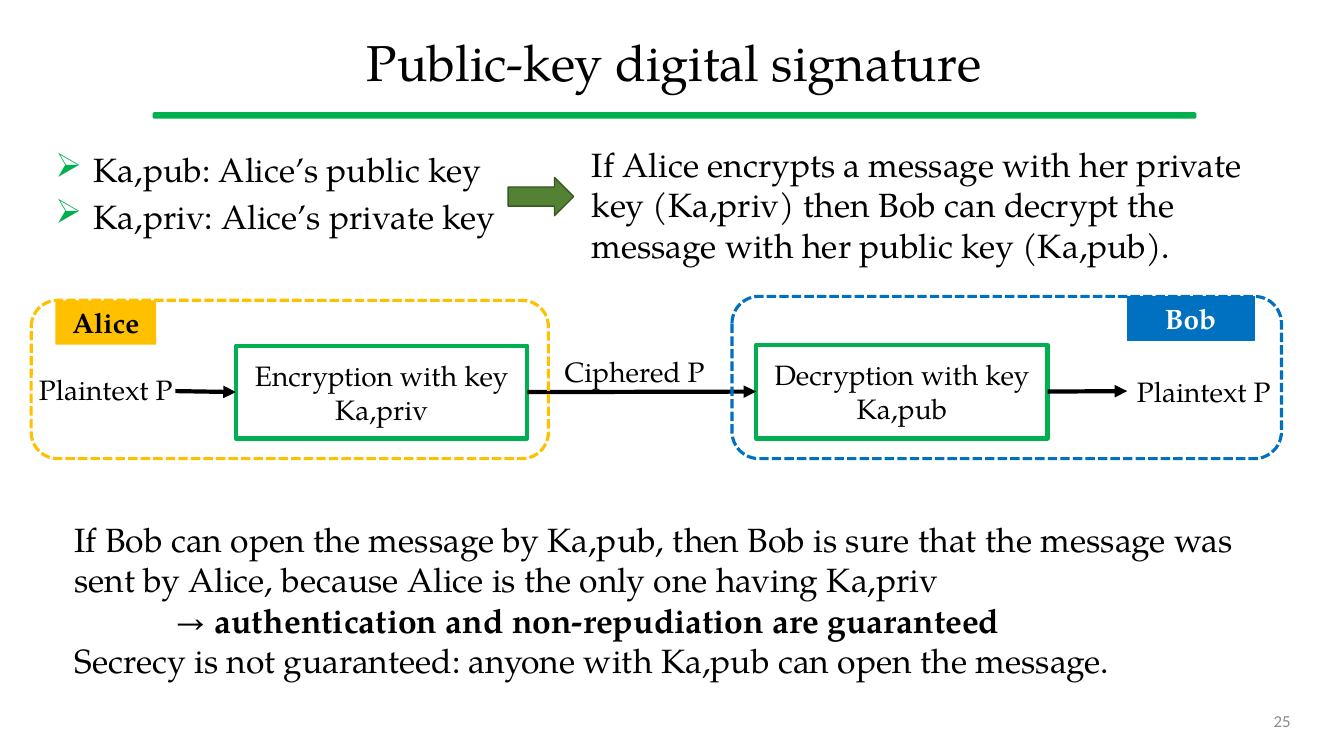
import dataclasses

import pptx
import pptx.dml.color
import pptx.enum.dml
import pptx.enum.shapes
import pptx.enum.text
import pptx.oxml.ns
import pptx.util
from lxml import etree

SHAPE = pptx.enum.shapes.MSO_SHAPE
ALIGN = pptx.enum.text.PP_ALIGN
ANCHOR = pptx.enum.text.MSO_ANCHOR
LEFT_SIDE, RIGHT_SIDE = 1, 3


@dataclasses.dataclass(frozen=True)
class Theme:
    font: str = "TeX Gyre Pagella"
    number_font: str = "Calibri"
    black: str = "000000"
    white: str = "FFFFFF"
    grey: str = "8C8C8C"
    green: str = "00B050"
    arrow_fill: str = "548235"
    arrow_edge: str = "385723"
    alice: str = "FFC000"
    bob: str = "0070C0"
    title_size: int = 36
    body_size: int = 24
    label_size: int = 20
    number_size: int = 12


def px(length):
    """One px is a hundredth of an inch."""
    return pptx.util.Emu(length * 9144)


def rgb(colour):
    return pptx.dml.color.RGBColor.from_string(colour)


def add_xml(parent, tag, **attributes):
    return etree.SubElement(parent, pptx.oxml.ns.qn(tag), attributes)


class SlideBuilder:
    def __init__(self, slide, theme):
        self.slide = slide
        self.theme = theme

    def add_words(self, paragraph, text, size, bold=False, colour=None, font=None):
        run = paragraph.add_run()
        run.text = text
        run.font.name = font or self.theme.font
        run.font.size = pptx.util.Pt(size)
        run.font.bold = bold
        run.font.color.rgb = rgb(colour or self.theme.black)

    def title(self, box, text):
        title = self.slide.shapes.title
        title.left, title.top, title.width, title.height = map(px, box)
        frame = title.text_frame
        frame.auto_size = pptx.enum.text.MSO_AUTO_SIZE.NONE
        frame.vertical_anchor = ANCHOR.MIDDLE
        paragraph = frame.paragraphs[0]
        paragraph.alignment = ALIGN.CENTER
        paragraph.line_spacing = 0.9
        self.add_words(paragraph, text, self.theme.title_size)

    def text(self, box, paragraphs, size, align=ALIGN.LEFT,
             anchor=ANCHOR.TOP, **style):
        """Each paragraph is a list of (text, bold) runs."""
        frame = self.slide.shapes.add_textbox(*map(px, box)).text_frame
        frame.word_wrap = True
        frame.vertical_anchor = anchor
        for index, runs in enumerate(paragraphs):
            paragraph = frame.add_paragraph() if index else frame.paragraphs[0]
            paragraph.alignment = align
            for words, bold in runs:
                self.add_words(paragraph, words, size, bold, **style)
        return frame

    def bullets(self, box, items):
        frame = self.text(box, [[(item, False)] for item in items],
                          self.theme.body_size)
        for index, paragraph in enumerate(frame.paragraphs):
            paragraph.line_spacing = 0.8
            paragraph.space_before = pptx.util.Pt(10 if index else 0)
            properties = paragraph._p.get_or_add_pPr()
            properties.set("marL", str(px(38)))
            properties.set("indent", str(-px(38)))
            add_xml(add_xml(properties, "a:buClr"), "a:srgbClr",
                    val=self.theme.green)
            add_xml(properties, "a:buChar", char="➢")

    def shape(self, kind, box, fill=None, edge=None, edge_width=1, dashed=False):
        shape = self.slide.shapes.add_shape(kind, *map(px, box))
        shape.shadow.inherit = False
        if fill:
            shape.fill.solid()
            shape.fill.fore_color.rgb = rgb(fill)
        else:
            shape.fill.background()
        if edge:
            shape.line.color.rgb = rgb(edge)
            shape.line.width = pptx.util.Pt(edge_width)
        else:
            shape.line.fill.background()
        if dashed:
            shape.line.dash_style = pptx.enum.dml.MSO_LINE.SQUARE_DOT
        return shape

    def labelled(self, box, label, bold=False, colour=None, **style):
        shape = self.shape(SHAPE.RECTANGLE, box, **style)
        shape.text_frame.word_wrap = True
        shape.text_frame.vertical_anchor = ANCHOR.MIDDLE
        paragraph = shape.text_frame.paragraphs[0]
        paragraph.alignment = ALIGN.CENTER
        self.add_words(paragraph, label, self.theme.label_size, bold, colour)
        return shape

    def arrow(self, start, end, source=None, target=None):
        line = self.slide.shapes.add_connector(
            pptx.enum.shapes.MSO_CONNECTOR.STRAIGHT, *map(px, start + end))
        if source:
            line.begin_connect(source, RIGHT_SIDE)
        if target:
            line.end_connect(target, LEFT_SIDE)
        line.line.color.rgb = rgb(self.theme.black)
        line.line.width = pptx.util.Pt(3)
        add_xml(line.line._get_or_add_ln(), "a:tailEnd", type="triangle")
        add_xml(line._element.spPr, "a:effectLst")


def main():
    theme = Theme()
    deck = pptx.Presentation()
    deck.slide_width, deck.slide_height = px(1333), px(750)
    page = SlideBuilder(deck.slides.add_slide(deck.slide_layouts[5]), theme)

    # Title and rule
    rule = page.shape(SHAPE.ROUNDED_RECTANGLE, (152, 112, 1034, 5),
                      theme.green, theme.green)
    rule.adjustments[0] = 0.26
    page.title((47, 18, 1243, 94), "Public-key digital signature")

    # Keys and what they imply
    page.bullets((45, 151, 460, 94),
                 ["Ka,pub: Alice’s public key", "Ka,priv: Alice’s private key"])
    page.shape(SHAPE.RIGHT_ARROW, (504, 176, 65, 38),
               theme.arrow_fill, theme.arrow_edge)
    page.text((577, 138, 711, 131), [[(
        "If Alice encrypts a message with her private key (Ka,priv) then Bob "
        "can decrypt the message with her public key (Ka,pub).", False)]],
        theme.body_size)

    # Encryption and decryption flow
    step = dict(fill=theme.white, edge=theme.green, edge_width=3)
    decryption = page.labelled((750, 342, 289, 93),
                               "Decryption with key Ka,pub", **step)
    encryption = page.labelled((234, 343, 289, 92),
                               "Encryption with key Ka,priv", **step)
    page.arrow((174, 388), (234, 389), target=encryption)
    page.arrow((523, 389), (750, 388), encryption, decryption)
    page.arrow((1039, 388), (1118, 388), source=decryption)
    for box, label in (((-4, 365, 218, 44), "Plaintext P"),
                       ((1085, 367, 218, 44), "Plaintext P"),
                       ((549, 347, 161, 44), "Ciphered P")):
        page.text(box, [[(label, False)]], theme.label_size, ALIGN.CENTER)

    # Alice's and Bob's sides
    page.labelled((55, 298, 100, 44), "Alice", bold=True, fill=theme.alice)
    page.labelled((1118, 294, 126, 44), "Bob", bold=True, colour=theme.white,
                  fill=theme.bob, edge=theme.bob, edge_width=0.75)
    for box, colour in (((31, 298, 513, 157), theme.alice),
                        ((726, 294, 545, 161), theme.bob)):
        page.shape(SHAPE.ROUNDED_RECTANGLE, box, edge=colour,
                   edge_width=2.25, dashed=True)

    # Conclusion
    conclusion = page.text((64, 510, 1207, 172), [
        [("If Bob can open the message by Ka,pub, then Bob is sure that the "
          "message was sent by Alice, because Alice is the only one having "
          "Ka,priv", False)],
        [("→ ", False),
         ("authentication and non-repudiation are guaranteed", True)],
        [("Secrecy is not guaranteed: anyone with Ka,pub can open the message.",
          False)],
    ], theme.body_size)
    guarantee = conclusion.paragraphs[1]
    guarantee._p.get_or_add_pPr().set("marL", str(px(100)))

    # Slide number
    page.text((942, 695, 348, 40), [[("25", False)]], theme.number_size,
              ALIGN.RIGHT, ANCHOR.MIDDLE, colour=theme.grey,
              font=theme.number_font)

    deck.save("out.pptx")


if __name__ == "__main__":
    main()
